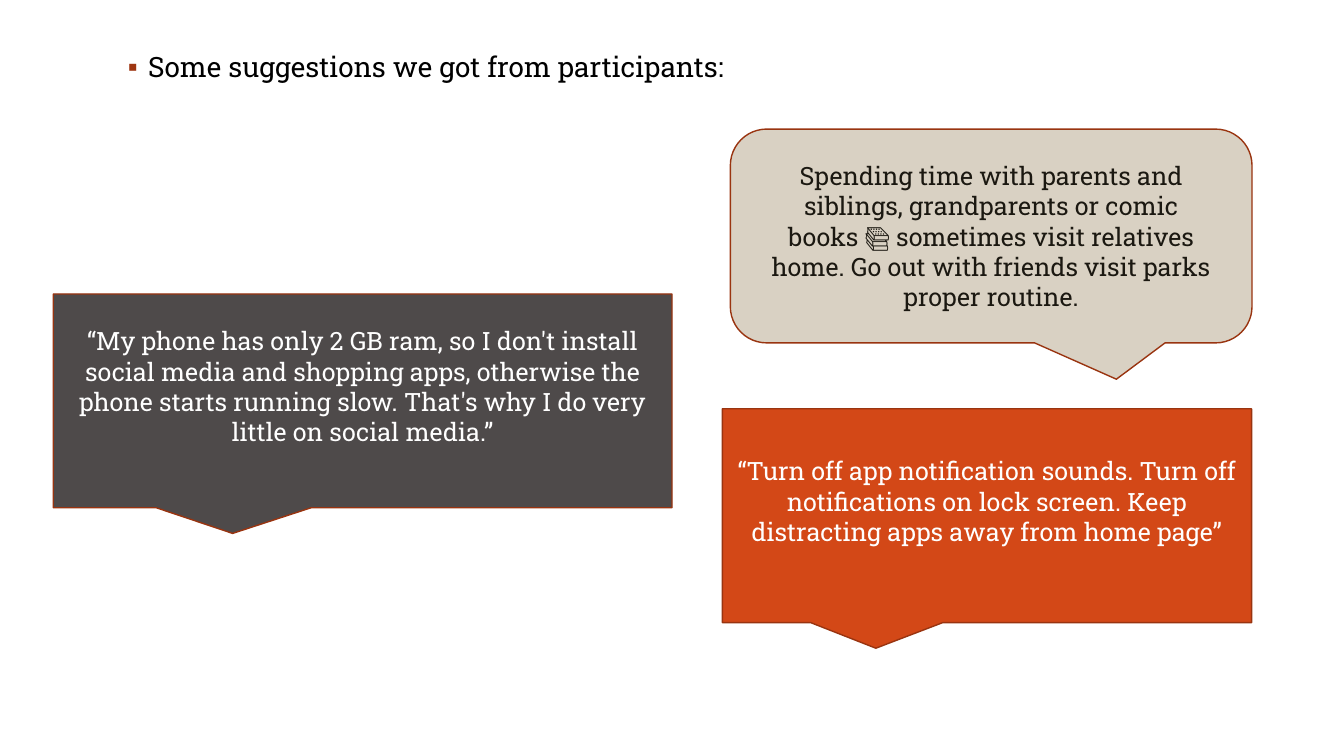
from lxml import etree
from pptx import Presentation
from pptx.dml.color import RGBColor
from pptx.enum.shapes import MSO_SHAPE
from pptx.enum.text import MSO_ANCHOR, PP_ALIGN
from pptx.oxml.ns import qn
from pptx.util import Pt

CALLOUT = MSO_SHAPE.ROUNDED_RECTANGULAR_CALLOUT
MIDDLE, TOP = MSO_ANCHOR.MIDDLE, MSO_ANCHOR.TOP
CENTER, LEFT = PP_ALIGN.CENTER, PP_ALIGN.LEFT

COLORS = {
    "black": "000000",
    "white": "FFFFFF",
    "ink": "1B1811",
    "gray": "4E4A4A",
    "orange": "D34817",
    "sand": "D9D1C3",
    "outline": "993410",
    "bullet": "9E3611",
}
FONT = "Roboto Slab"
CALLOUT_HEIGHT = 152.7
INSET = 3.6
QUOTE_INSET = 24.6  # lifts a quote by half a line
LOWER_LEFT_TAIL = (-0.21, 0.62, 0)
LOWER_RIGHT_TAIL = (0.24, 0.67, 0.17)


def rgb(name):
    return RGBColor.from_string(COLORS[name])


class SuggestionSlide:
    def __init__(self, presentation):
        content_layout = presentation.slide_layouts[1]
        self.slide = presentation.slides.add_slide(content_layout)
        title = self.slide.shapes.title.element
        title.getparent().remove(title)

    def set_text(self, paragraph, text, size, color, align):
        paragraph.text = text
        paragraph.alignment = align
        paragraph.font.name = FONT
        paragraph.font.size = Pt(size)
        paragraph.font.color.rgb = rgb(color)

    def bullet_body(self, text, left, top, width, height):
        body = self.slide.placeholders[1]
        body.left, body.top = Pt(left), Pt(top)
        body.width, body.height = Pt(width), Pt(height)
        body.text_frame.vertical_anchor = TOP
        paragraph = body.text_frame.paragraphs[0]
        self.set_text(paragraph, text, 20, "black", LEFT)
        paragraph.line_spacing = 0.9
        paragraph.space_before = Pt(0)
        properties = paragraph._p.get_or_add_pPr()
        properties.set("marL", str(Pt(14.4)))
        properties.set("indent", str(Pt(-14.4)))
        # Bullet settings must come before the default run properties.
        run_defaults = properties.find(qn("a:defRPr"))
        bullet_color = etree.Element(qn("a:buClr"))
        etree.SubElement(bullet_color, qn("a:srgbClr"), val=COLORS["bullet"])
        run_defaults.addprevious(bullet_color)
        run_defaults.addprevious(etree.Element(qn("a:buChar"), char="▪"))

    def callout(self, text, left, top, width, fill, color, tail,
                bottom_inset=INSET):
        """Add a speech callout; tail holds tip x, tip y and corner radius."""
        bubble = self.slide.shapes.add_shape(
            CALLOUT, Pt(left), Pt(top), Pt(width), Pt(CALLOUT_HEIGHT))
        for index, value in enumerate(tail):
            bubble.adjustments[index] = value
        bubble.shadow.inherit = False
        bubble.fill.solid()
        bubble.fill.fore_color.rgb = rgb(fill)
        bubble.line.color.rgb = rgb("outline")
        bubble.line.width = Pt(1)
        frame = bubble.text_frame
        frame.word_wrap = True
        frame.vertical_anchor = MIDDLE
        frame.margin_bottom = Pt(bottom_inset)
        self.set_text(frame.paragraphs[0], text, 18, color, CENTER)


def main():
    presentation = Presentation()
    presentation.slide_width, presentation.slide_height = Pt(960), Pt(540)
    page = SuggestionSlide(presentation)
    page.bullet_body("Some suggestions we got from participants:",
                     84.2, 34.6, 792, 451.4)
    page.callout(
        "“My phone has only 2 GB ram, so I don't install social media and "
        "shopping apps, otherwise the phone starts running slow. That's why "
        "I do very little on social media.”",
        38, 210, 442, "gray", "white", LOWER_LEFT_TAIL, QUOTE_INSET)
    page.callout(
        "“Turn off app notification sounds. Turn off notifications on lock "
        "screen. Keep distracting apps away from home page”",
        516, 292, 378, "orange", "white", LOWER_LEFT_TAIL, QUOTE_INSET)
    page.callout(
        "Spending time with parents and siblings, grandparents or comic "
        "books 📚 sometimes visit relatives home. Go out with friends visit "
        "parks proper routine.",
        521.7, 92.2, 372.6, "sand", "ink", LOWER_RIGHT_TAIL)
    presentation.save("out.pptx")


if __name__ == "__main__":
    main()
